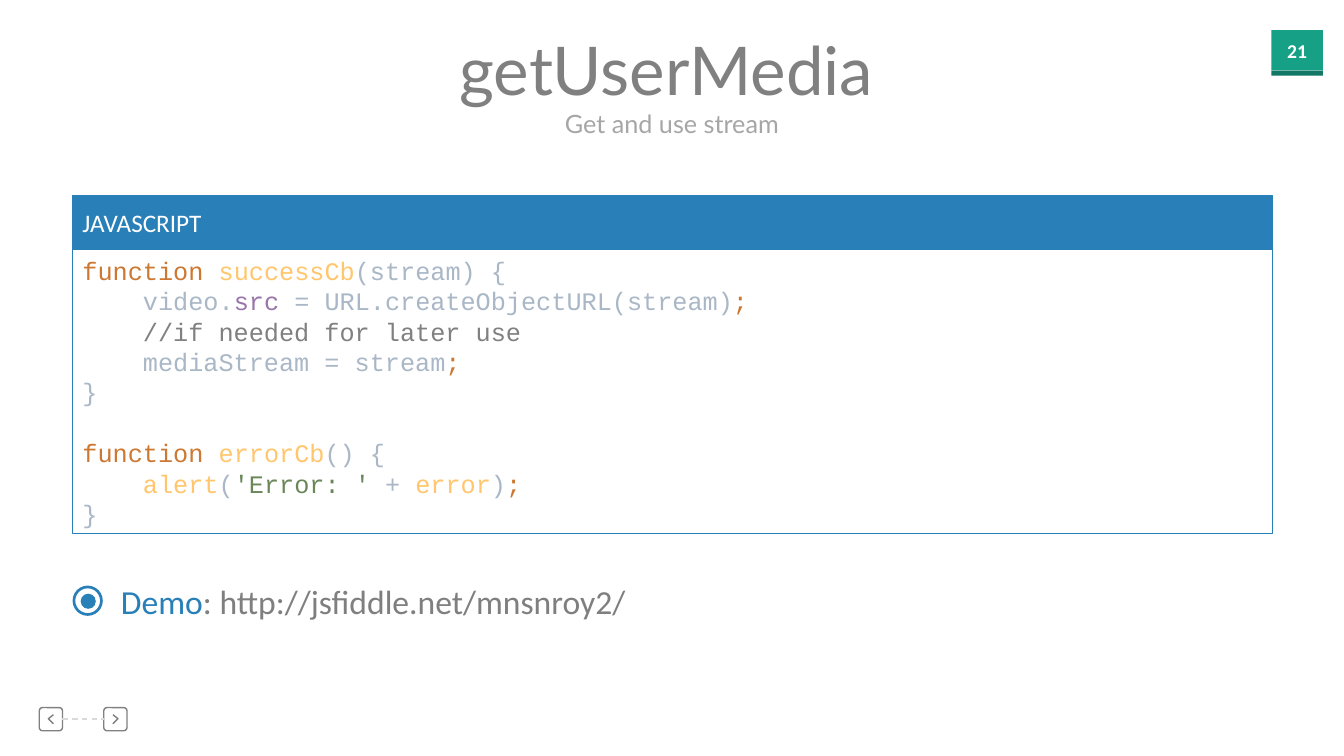
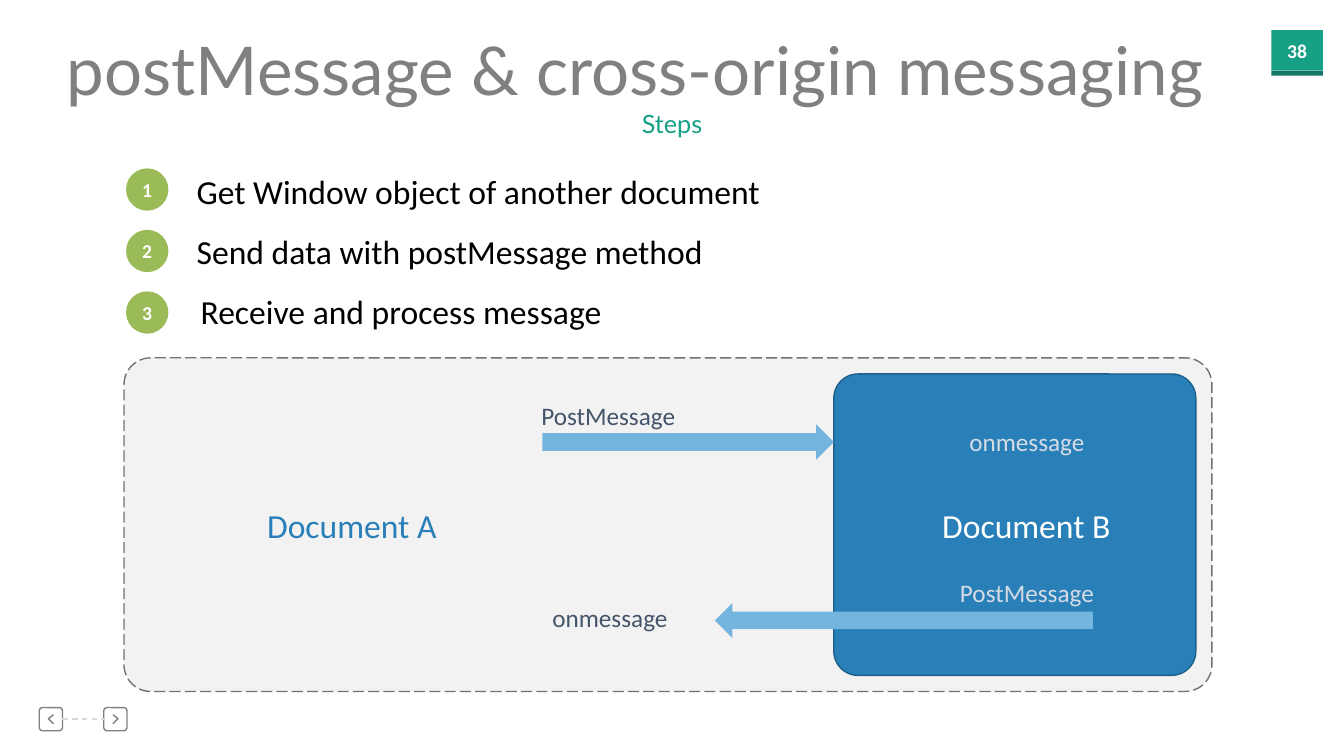
from lxml.etree import SubElement
from pptx import Presentation
from pptx.dml.color import RGBColor
from pptx.enum.dml import MSO_LINE
from pptx.enum.shapes import MSO_CONNECTOR, MSO_SHAPE as SHAPE
from pptx.enum.text import MSO_ANCHOR as ANCHOR, MSO_AUTO_SIZE, PP_ALIGN as ALIGN
from pptx.oxml.ns import qn
from pptx.util import Pt

PX = 9144  # EMU in one px, 100 px to the inch
hex_color = RGBColor.from_string

WHITE, BLACK = "FFFFFF", "000000"
BLUE, LIGHT_BLUE, DARK_BLUE = "2980B9", "74B5E0", "1E5F89"
TEAL, DARK_TEAL, GREEN = "16A085", "107864", "9BBB59"
GRAY, BODY_GRAY, SUBTITLE_GRAY, DASH_GRAY = "808080", "7F7F7F", "A6A6A6", "D9D9D9"
SLATE, PALE_SLATE = "44546A", "D6DCE5"


def add_box(slide, kind, box, fill=None, line=None, width=1):
    """Add a preset shape, or a text box when kind is None; box is in px."""
    lengths = [length * PX for length in box]
    if kind is None:
        return slide.shapes.add_textbox(*lengths)
    shape = slide.shapes.add_shape(kind, *lengths)
    shape.shadow.inherit = False
    if fill:
        shape.fill.solid()
        shape.fill.fore_color.rgb = hex_color(fill)
    else:
        shape.fill.background()
    if line:
        shape.line.color.rgb = hex_color(line)
        shape.line.width = Pt(width)
    else:
        shape.line.fill.background()
    return shape


def write(shape, lines, size, font="Calibri", align=ALIGN.LEFT, anchor=ANCHOR.TOP,
          bold=False, wrap=True):
    """Fill a shape with lines, each a list of (text, colour) runs."""
    frame = shape.text_frame
    frame.word_wrap = wrap
    frame.auto_size = MSO_AUTO_SIZE.NONE
    frame.vertical_anchor = anchor
    for number, runs in enumerate(lines):
        paragraph = frame.add_paragraph() if number else frame.paragraphs[0]
        if shape.is_placeholder:
            properties = paragraph._p.get_or_add_pPr()
            properties.set("marL", "0")
            properties.set("indent", "0")
            SubElement(properties, qn("a:buNone"))
        paragraph.alignment = align
        paragraph.space_before = Pt(0)
        for text, color in runs:
            run = paragraph.add_run()
            run.text = text
            run.font.size = Pt(size)
            run.font.name = font
            run.font.bold = bold
            run.font.color.rgb = hex_color(color)
    return frame


presentation = Presentation()
presentation.slide_width = 1333 * PX
presentation.slide_height = 750 * PX

# Shared parts: page number, navigation, title and subtitle
headings = [
    ("21", "getUserMedia", (441, 440), "Get and use stream", SUBTITLE_GRAY),
    ("38", "postMessage & cross-origin messaging", (51, 1158), "Steps", TEAL),
]
slides = []
for page, title_text, (title_left, title_width), subtitle_text, subtitle_color in headings:
    slide = presentation.slides.add_slide(presentation.slide_layouts[1])
    slides.append(slide)

    page_box = add_box(slide, SHAPE.RECTANGLE, (1261, 30, 51, 40), TEAL)
    write(page_box, [[(page, WHITE)]], 14, align=ALIGN.CENTER,
          anchor=ANCHOR.MIDDLE, bold=True, wrap=False)
    add_box(slide, SHAPE.RECTANGLE, (1261, 70, 51, 5), DARK_TEAL)

    buttons = []
    for button_left, chevron_back, chevron_tip in [(39, 53, 48), (103, 112, 117)]:
        button = add_box(slide, SHAPE.ROUNDED_RECTANGLE, (button_left, 702, 23, 23), line=GRAY)
        button.adjustments[0] = 0.14
        buttons.append(button)
        builder = slide.shapes.build_freeform(chevron_back, 709, scale=PX)
        builder.add_line_segments([(chevron_tip, 713), (chevron_back, 718)], close=False)
        chevron = builder.convert_to_shape()
        chevron.shadow.inherit = False
        chevron.fill.background()
        chevron.line.color.rgb = hex_color(GRAY)
        chevron.line.width = Pt(1)
    link = slide.shapes.add_connector(MSO_CONNECTOR.STRAIGHT, 0, 0, 0, 0)
    link.begin_connect(buttons[0], 3)
    link.end_connect(buttons[1], 1)
    link.line.color.rgb = hex_color(DASH_GRAY)
    link.line.width = Pt(1)
    link.line.dash_style = MSO_LINE.DASH
    SubElement(link._element.spPr, qn("a:effectLst"))

    title = slide.shapes.title
    title.left, title.top = title_left * PX, 23 * PX
    title.width, title.height = title_width * PX, 91 * PX
    write(title, [[(title_text, GRAY)]], 48, "Lato", ALIGN.CENTER, wrap=False)
    subtitle = add_box(slide, None, (545, 103, 243, 40))
    write(subtitle, [[(subtitle_text, subtitle_color)]], 18, "Lato", ALIGN.CENTER, wrap=False)

code_slide, steps_slide = slides

# Code panel
KEYWORD, NAME, PLAIN = "CC7832", "FFC66D", "A9B7C6"
PROPERTY, STRING, COMMENT = "9876AA", "6A8759", "808080"
code_lines = [
    [("function ", KEYWORD), ("successCb", NAME), ("(stream) {", PLAIN)],
    [("    video.", PLAIN), ("src ", PROPERTY),
     ("= URL.createObjectURL(stream)", PLAIN), (";", KEYWORD)],
    [("    //if needed for later use", COMMENT)],
    [("    mediaStream = stream", PLAIN), (";", KEYWORD)],
    [("}", PLAIN)],
    [],
    [("function ", KEYWORD), ("errorCb", NAME), ("() {", PLAIN)],
    [("    alert", NAME), ("(", PLAIN), ("'Error: ' ", STRING), ("+ ", PLAIN),
     ("error", NAME), (")", PLAIN), (";", KEYWORD)],
    [("}", PLAIN)],
]
code_box = add_box(code_slide, SHAPE.RECTANGLE, (72, 246, 1190, 283), WHITE, BLUE, 0.75)
code_frame = write(code_box, code_lines, 18, "Courier New")
code_frame.margin_top = 7 * PX
for paragraph in code_frame.paragraphs:
    paragraph.line_spacing = Pt(21.7)
code_header = add_box(code_slide, SHAPE.RECTANGLE, (72, 194, 1190, 54), BLUE, BLUE, 0.75)
write(code_header, [[("JAVASCRIPT", WHITE)]], 18, anchor=ANCHOR.MIDDLE)

# Demo line with its target bullet
demo = code_slide.placeholders[1]
demo.left, demo.top, demo.width, demo.height = 110 * PX, 571 * PX, 526 * PX, 50 * PX
write(demo, [[("Demo", BLUE), (": http://jsfiddle.net/mnsnroy2/", BODY_GRAY)]], 24, wrap=False)
add_box(code_slide, SHAPE.OVAL, (80, 589, 15, 15), BLUE)
ring = add_box(code_slide, SHAPE.DONUT, (72, 581, 30, 30), BLUE)
ring.adjustments[0] = 0.09

# Numbered steps
steps = ["Get Window object of another document", "Send data with postMessage method",
         "Receive and process message"]
step_list = steps_slide.placeholders[1]
step_list.left, step_list.top = 185 * PX, 165 * PX
step_list.width, step_list.height = 620 * PX, 172 * PX
step_frame = write(step_list, [[(step, BLACK)] for step in steps], 24)
for paragraph in step_frame.paragraphs[1:]:
    paragraph.space_before = Pt(14)
step_frame.paragraphs[2]._p.pPr.set("marL", str(4 * PX))
for index in range(len(steps)):
    circle = add_box(steps_slide, SHAPE.OVAL, (125, 167 + 61 * index, 42, 42), GREEN)
    write(circle, [[(str(index + 1), WHITE)]], 14, align=ALIGN.CENTER,
          anchor=ANCHOR.MIDDLE, bold=True, wrap=False)

# Messaging diagram
document_a = add_box(steps_slide, SHAPE.ROUNDED_RECTANGLE, (123, 355, 1079, 331),
                     "F2F2F2", "767171")
document_a.line.dash_style = MSO_LINE.LONG_DASH
document_b = add_box(steps_slide, SHAPE.ROUNDED_RECTANGLE, (827, 371, 359, 299),
                     BLUE, DARK_BLUE)
for panel in (document_a, document_b):
    panel.adjustments[0] = 0.08
add_box(steps_slide, SHAPE.RIGHT_ARROW, (538, 421, 289, 35), LIGHT_BLUE)
add_box(steps_slide, SHAPE.LEFT_ARROW, (709, 598, 375, 35), LIGHT_BLUE)
labels = [
    ("Document B", (896, 496, 244, 50), 24, WHITE, ALIGN.CENTER),
    ("Document A", (227, 496, 244, 50), 24, BLUE, ALIGN.CENTER),
    ("onmessage", (916, 418, 205, 40), 18, PALE_SLATE, ALIGN.CENTER),
    ("PostMessage", (527, 392, 189, 40), 18, SLATE, ALIGN.LEFT),
    ("onmessage", (538, 593, 152, 40), 18, SLATE, ALIGN.LEFT),
    ("PostMessage", (924, 568, 189, 40), 18, PALE_SLATE, ALIGN.CENTER),
]
for text, box, size, label_color, align in labels:
    write(add_box(steps_slide, None, box), [[(text, label_color)]], size, align=align)

presentation.save("out.pptx")
